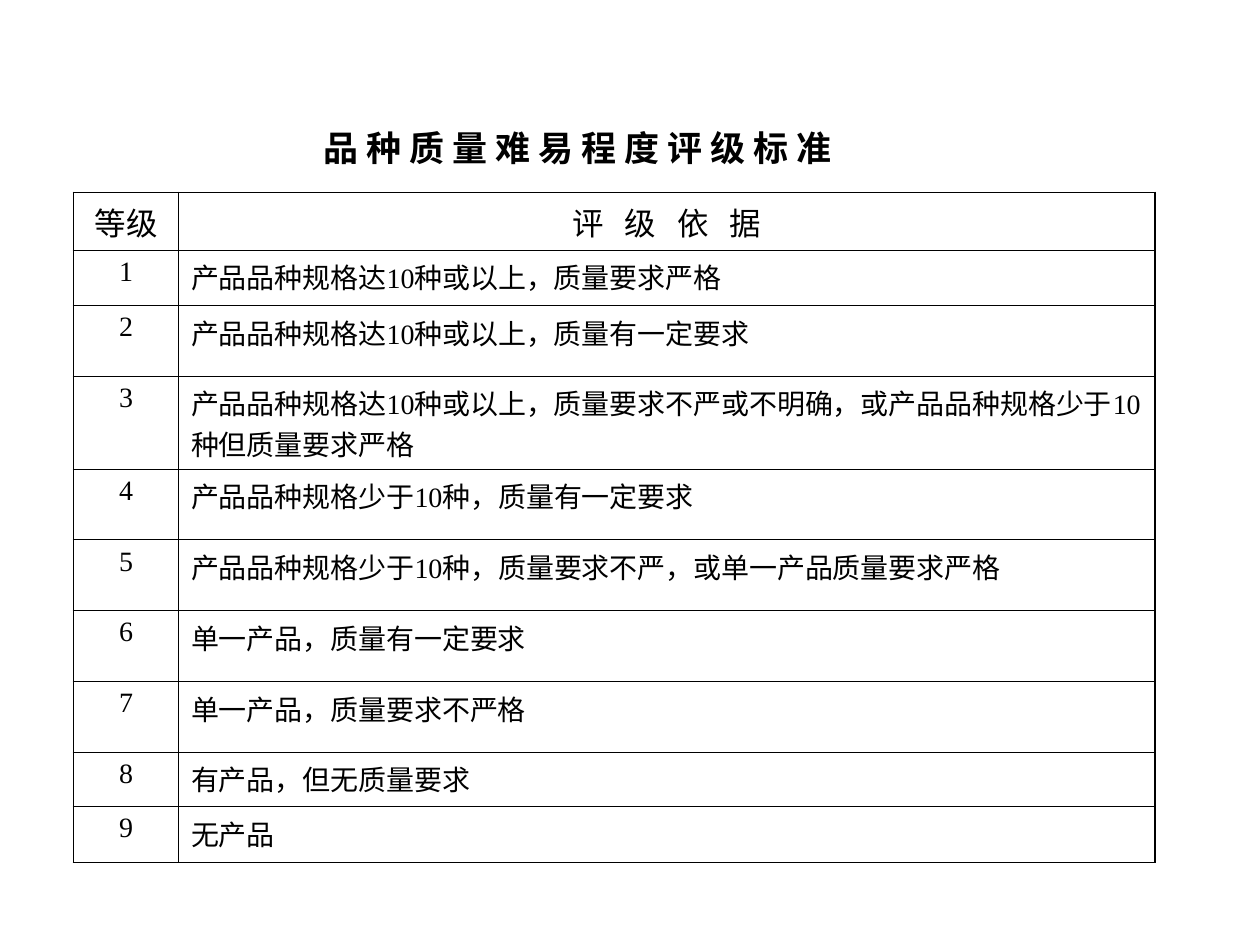
from lxml.etree import SubElement
from pptx import Presentation
from pptx.dml.color import RGBColor
from pptx.enum.text import MSO_ANCHOR, PP_ALIGN
from pptx.oxml import parse_xml
from pptx.oxml.ns import nsdecls
from pptx.util import Pt

TITLE = "品 种 质 量 难 易 程 度 评 级 标 准"
HEADER = ("等级", "评 级 依 据")
CRITERIA = [
    "产品品种规格达10种或以上，质量要求严格",
    "产品品种规格达10种或以上，质量有一定要求",
    "产品品种规格达10种或以上，质量要求不严或不明确，或产品品种规格少于10种但质量要求严格",
    "产品品种规格少于10种，质量有一定要求",
    "产品品种规格少于10种，质量要求不严，或单一产品质量要求严格",
    "单一产品，质量有一定要求",
    "单一产品，质量要求不严格",
    "有产品，但无质量要求",
    "无产品",
]
COLORS = {"ink": "000000", "page": "FFFFFF"}
FONT = "Times New Roman"
COLUMN_WIDTHS = (60, 558)
ROW_HEIGHTS = (33, 31.5, 40.5, 53, 40.5, 40.5, 40.5, 40.5, 31, 32)
TABLE_LEFT, TABLE_TOP = 42, 110
OUTER_LINE, INNER_LINE = 1.08, 0.45


def write(frame, text, size, align=PP_ALIGN.LEFT, bold=False, before=0, tracking=0):
    frame.word_wrap = True
    para = frame.paragraphs[0]
    para.alignment = align
    para.space_before = Pt(before)
    span = para.add_run()
    span.text = text
    span.font.name = FONT
    span.font.size = Pt(size)
    span.font.bold = bold
    span.font.color.rgb = RGBColor.from_string(COLORS["ink"])
    if tracking:
        span.font._element.set("spc", str(tracking * 100))


def set_borders(cell, widths):
    properties = cell._tc.get_or_add_tcPr()
    for index, (side, width) in enumerate(widths.items()):
        line = parse_xml(f'<a:ln{side} {nsdecls("a")} w="{int(Pt(width))}"/>')
        fill = SubElement(line, f"{{{line.nsmap['a']}}}solidFill")
        SubElement(fill, f"{{{line.nsmap['a']}}}srgbClr", val=COLORS["ink"])
        properties.insert(index, line)


def add_title(page):
    box = page.shapes.add_textbox(Pt(170), Pt(72), Pt(320), Pt(24))
    write(box.text_frame, TITLE, 20, align=PP_ALIGN.CENTER, bold=True)
    box.text_frame.vertical_anchor = MSO_ANCHOR.MIDDLE


def add_rating_table(page):
    rows = [HEADER] + [(str(level), text) for level, text in enumerate(CRITERIA, 1)]
    last_row, last_column = len(rows) - 1, len(HEADER) - 1
    table = page.shapes.add_table(
        len(rows), len(HEADER), Pt(TABLE_LEFT), Pt(TABLE_TOP),
        Pt(sum(COLUMN_WIDTHS)), Pt(sum(ROW_HEIGHTS)),
    ).table
    table.first_row = table.horz_banding = False
    for column, width in zip(table.columns, COLUMN_WIDTHS):
        column.width = Pt(width)
    for row_index, (values, height) in enumerate(zip(rows, ROW_HEIGHTS)):
        table.rows[row_index].height = Pt(height)
        is_header = row_index == 0
        for column_index, text in enumerate(values):
            cell = table.cell(row_index, column_index)
            cell.fill.background()
            centered = is_header or column_index == 0
            write(
                cell.text_frame, text, 18 if is_header else 16,
                align=PP_ALIGN.CENTER if centered else PP_ALIGN.LEFT,
                before=4.5 if is_header else 4,
                tracking=4 if is_header and column_index else 0,
            )
            edges = {
                "L": column_index == 0, "R": column_index == last_column,
                "T": is_header, "B": row_index == last_row,
            }
            set_borders(cell, {side: OUTER_LINE if outer else INNER_LINE
                               for side, outer in edges.items()})


def main():
    deck = Presentation()
    deck.slide_width, deck.slide_height = Pt(720), Pt(540)
    page = deck.slides.add_slide(deck.slide_layouts[6])
    page.background.fill.solid()
    page.background.fill.fore_color.rgb = RGBColor.from_string(COLORS["page"])
    add_title(page)
    add_rating_table(page)
    deck.save("out.pptx")


if __name__ == "__main__":
    main()
